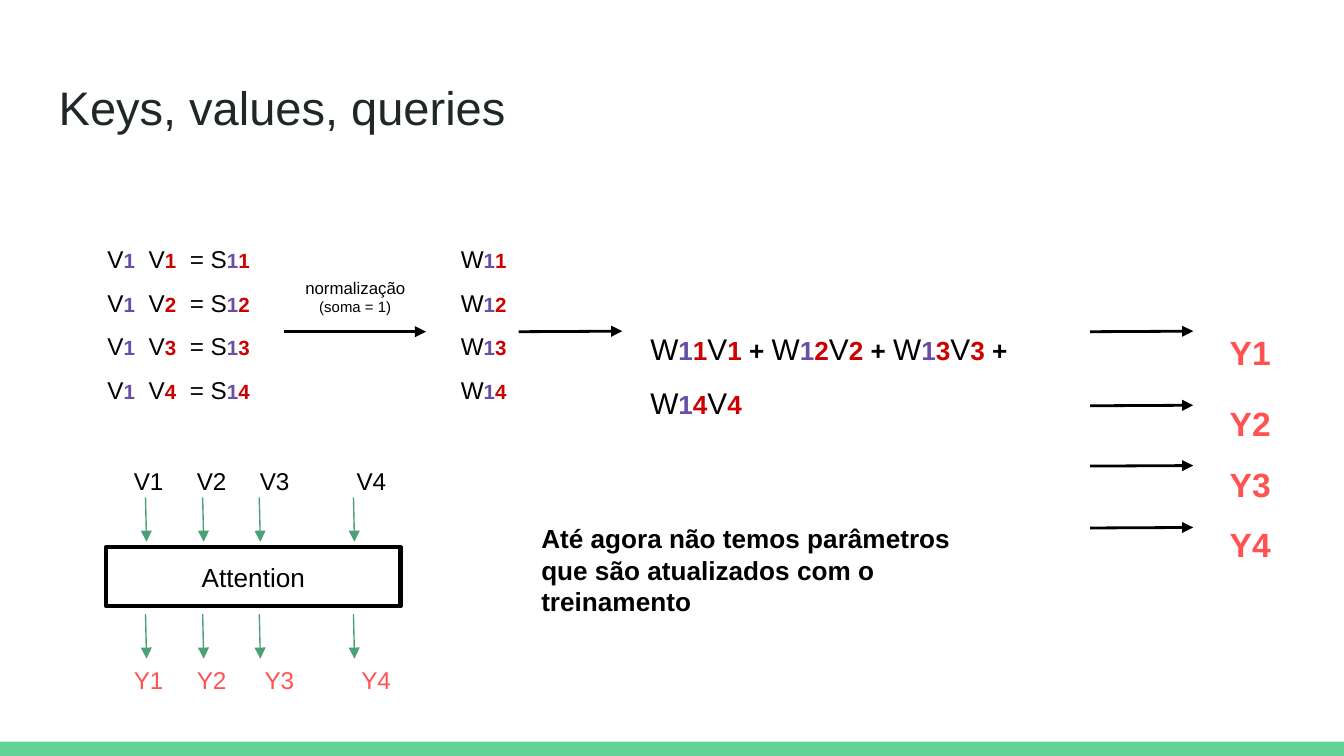
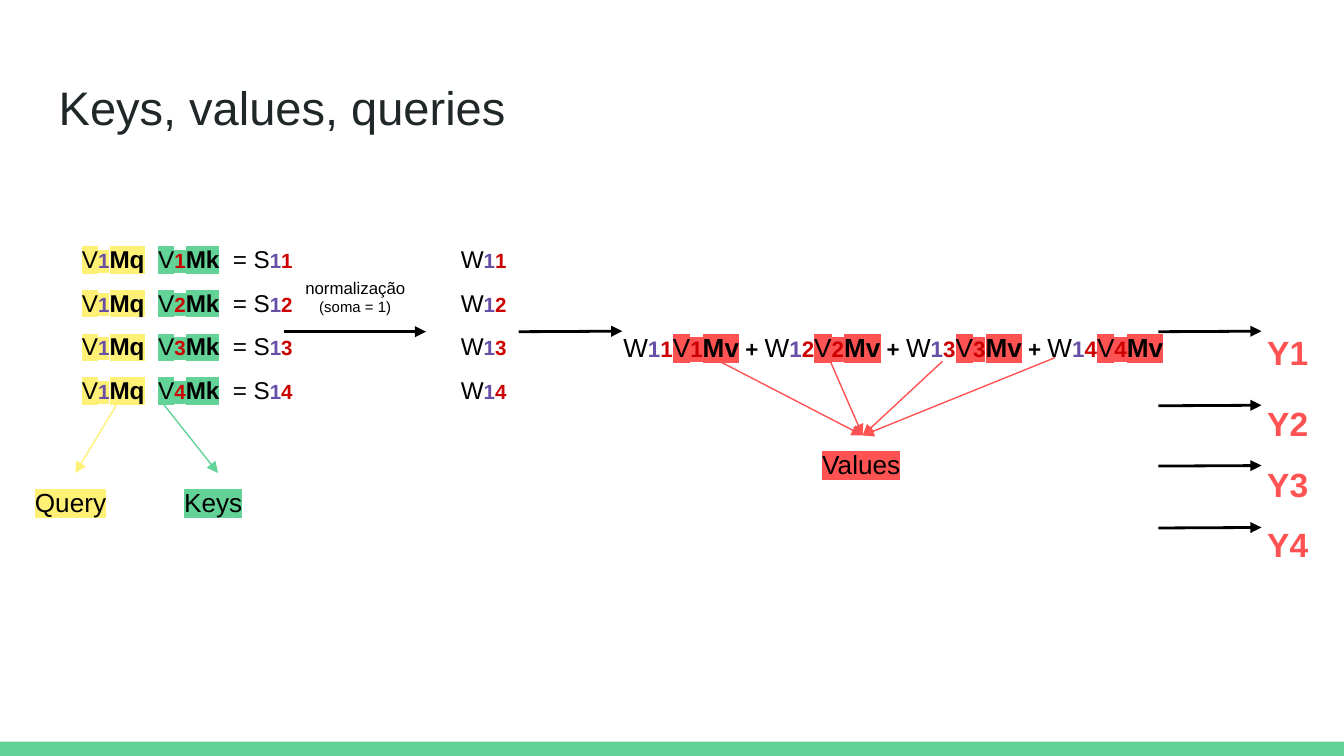
from lxml.etree import SubElement
from pptx import Presentation
from pptx.dml.color import RGBColor
from pptx.enum.shapes import MSO_CONNECTOR, MSO_SHAPE
from pptx.enum.text import MSO_ANCHOR, MSO_AUTO_SIZE, PP_ALIGN
from pptx.oxml.ns import qn
from pptx.util import Cm, Pt

FONT = "Arial"
BLACK, INK = "000000", "202729"
PURPLE, RED, CORAL = "674EA7", "CC0000", "FF5252"
GREEN, DARK_GREEN, YELLOW = "63D297", "4BA173", "FFF176"
INDICES = "1234"
FLOW_Y = 6.27
SCORES_TOP, SCORES_HEIGHT = 4.09, 3.58


def color(value):
    """Turn a hex string into a colour."""
    return RGBColor.from_string(value)


def format_run(r, size, ink=BLACK, bold=False, mark=None):
    """Give a run its font, colour and highlight."""
    r.font.size = Pt(size)
    r.font.bold = bold
    r.font.color.rgb = color(ink)
    if mark:
        highlight = SubElement(r.font.fill._xPr, qn("a:highlight"))
        SubElement(highlight, qn("a:srgbClr"), val=mark)
    r.font.name = FONT


def setup_frame(tf, anchor=MSO_ANCHOR.TOP):
    """Set wrapping, growth and insets of a text frame."""
    tf.word_wrap = True
    tf.auto_size = MSO_AUTO_SIZE.SHAPE_TO_FIT_TEXT
    tf.vertical_anchor = anchor
    tf.margin_left = tf.margin_right = Cm(0.25)
    tf.margin_top = tf.margin_bottom = Cm(0.25)


def add_text(s, box, lines, spacing=None, align=None, tabs=()):
    """Add a text box whose lines are lists of (text, *format) pieces."""
    sp = s.shapes.add_textbox(*map(Cm, box))
    tf = sp.text_frame
    setup_frame(tf)
    for i, pieces in enumerate(lines):
        p = tf.add_paragraph() if i else tf.paragraphs[0]
        p.alignment = align
        p.line_spacing = spacing
        if tabs:
            stops = SubElement(p._p.get_or_add_pPr(), qn("a:tabLst"))
            for stop in tabs:
                SubElement(stops, qn("a:tab"), pos=str(Cm(stop)), algn="l")
        for text, *style in pieces:
            r = p.add_run()
            r.text = text
            format_run(r, *style)
    return sp


def add_arrow(s, start, end, ink=BLACK, width=1.5, target=None):
    """Draw an arrow, joined to the top of a target if there is one."""
    c = s.shapes.add_connector(MSO_CONNECTOR.STRAIGHT, *map(Cm, (*start, *end)))
    if target is not None:
        c.end_connect(target, 0)
    c.line.color.rgb = color(ink)
    c.line.width = Pt(width)
    spPr = c.element.spPr
    SubElement(spPr.find(qn("a:ln")), qn("a:tailEnd"), type="triangle")
    SubElement(spPr, qn("a:effectLst"))


def indexed(letter, digits, inks, size, mark=None, matrix=""):
    """Return the pieces of a letter with coloured indices and a matrix name."""
    pieces = [(letter, size, BLACK, False, mark)]
    pieces += [(d, size - 2, ink, True, mark) for d, ink in zip(digits, inks)]
    if matrix:
        pieces.append((matrix, size, BLACK, True, mark))
    return pieces


def add_base(prs):
    """Add a slide with the shared title and bottom band."""
    s = prs.slides.add_slide(prs.slide_layouts[6])
    band = s.shapes.add_shape(MSO_SHAPE.RECTANGLE, 0, Cm(14.02), prs.slide_width, Cm(0.27))
    band.shadow.inherit = False
    band.fill.solid()
    band.fill.fore_color.rgb = color(GREEN)
    band.line.fill.background()
    add_text(s, (0.86, 1.24, 23.67, 1.6), [[("Keys, values, queries", 25.2, INK)]])
    return s


def add_scores(s, left, width, tabs, query=("", None), key=("", None)):
    """List the products of the first vector with every vector."""
    lines = []
    for j in INDICES:
        lines.append([
            *indexed("V", "1", [PURPLE], 13, query[1], query[0]),
            ("\t", 13),
            *indexed("V", j, [RED], 13, key[1], key[0]),
            ("\t= ", 13),
            *indexed("S", "1" + j, [PURPLE, RED], 13),
        ])
    add_text(s, (left, SCORES_TOP, width, SCORES_HEIGHT), lines, 1.5, tabs=tabs)


def add_weights(s, left=5.36):
    """Show the normalisation step and the weights it gives."""
    add_arrow(s, (left, FLOW_Y), (left + 2.69, FLOW_Y))
    add_text(s, (left + 0.1, 5, 2.51, 1.24),
             [[("normalização", 9)], [("(soma = 1)", 8)]], align=PP_ALIGN.CENTER)
    lines = [indexed("W", "1" + j, [PURPLE, RED], 13) for j in INDICES]
    add_text(s, (left + 3.1, SCORES_TOP, 1.5, SCORES_HEIGHT), lines, 1.5)
    add_arrow(s, (left + 4.44, FLOW_Y), (left + 6.4, FLOW_Y - 0.01))


def add_sum(s, box, size, mark=None, matrix=""):
    """Write the weighted sum of the vectors."""
    pieces = []
    for j in INDICES:
        if pieces:
            pieces.append((" + ", size - 2, BLACK, True))
        pieces += indexed("W", "1" + j, [PURPLE, RED], size)
        pieces += indexed("V", j, [RED], size, mark, matrix)
    add_text(s, box, [pieces], 1.5)


def add_outputs(s, left, arrow_left):
    """Place the outputs and the arrows that lead to them."""
    first, *rest = [[("Y" + j, 18, CORAL, True)] for j in INDICES]
    add_text(s, (left, 5.64, 1.35, 1.27), [first], 1.5)
    add_text(s, (left, 6.99, 1.35, 3.58), rest, 1.5)
    for y in (FLOW_Y, 7.67, 8.81, 9.98):
        add_arrow(s, (arrow_left, y), (arrow_left + 1.95, y - 0.01))


def add_attention(s, left, top):
    """Draw the attention block with its inputs and outputs."""
    sp = s.shapes.add_shape(MSO_SHAPE.RECTANGLE, *map(Cm, (left, top, 5.56, 1.12)))
    sp.shadow.inherit = False
    sp.fill.background()
    sp.line.color.rgb = color(BLACK)
    sp.line.width = Pt(2.25)
    tf = sp.text_frame
    setup_frame(tf, MSO_ANCHOR.MIDDLE)
    tf.text = "Attention"
    p = tf.paragraphs[0]
    p.alignment = PP_ALIGN.CENTER
    format_run(p.runs[0], 14)
    rows = (
        ("V", BLACK, -1.78, -0.94, (0.25, 1.44, 2.63, 4.46)),
        ("Y", CORAL, 1.98, 1.27, (0.25, 1.44, 2.72, 4.55)),
    )
    for letter, ink, label_dy, arrow_dy, tabs in rows:
        text = "".join("\t" + letter + j for j in INDICES)
        add_text(s, (left + 0.02, top + label_dy, 6.05, 1.07), [[(text, 13, ink)]], tabs=tabs)
        for dx in (0.74, 1.82, 2.89, 4.67):
            y = top + arrow_dy
            add_arrow(s, (left + dx, y), (left + dx + 0.02, y + 0.84), DARK_GREEN, 0.75)


def add_role(s, name, box, ink, starts):
    """Add a highlighted role name and the arrows that end on it."""
    sp = add_text(s, box, [[(name, 14, BLACK, False, ink)]])
    left, top, width, _ = box
    for start in starts:
        add_arrow(s, start, (left + width / 2, top), ink, 0.75, sp)


def build_plain_slide(prs):
    """Build the slide on attention without parameters."""
    s = add_base(prs)
    add_scores(s, 1.78, 4.04, (0.78, 1.56))
    add_weights(s)
    add_sum(s, (12.04, 5.66, 8.59, 1.19), 16)
    add_outputs(s, 22.99, 20.6)
    add_attention(s, 2.01, 10.34)
    note = "Até agora não temos parâmetros que são atualizados com o treinamento"
    add_text(s, (9.98, 9.63, 8.84, 2.31), [[(note, 14, BLACK, True)]])


def build_matrix_slide(prs):
    """Build the slide on attention with query, key and value matrices."""
    s = add_base(prs)
    add_scores(s, 1.3, 4.52, (1.44, 2.85), ("Mq", YELLOW), ("Mk", GREEN))
    add_weights(s)
    add_sum(s, (11.53, 5.72, 11.07, 1.12), 14, CORAL, "Mv")
    add_outputs(s, 23.7, 21.89)
    add_role(s, "Query", (0.41, 8.94, 2.03, 1.12), YELLOW, [(2.24, 7.59)])
    add_role(s, "Keys", (3.23, 8.94, 1.78, 1.12), GREEN, [(3.05, 7.59)])
    add_role(s, "Values", (15.29, 8.23, 2.03, 1.12), CORAL,
             [(13.56, 6.81), (15.67, 6.78), (17.81, 6.83), (19.94, 6.76)])


def main():
    """Build and save the presentation."""
    prs = Presentation()
    prs.slide_width, prs.slide_height = Cm(25.4), Cm(14.29)
    build_plain_slide(prs)
    build_matrix_slide(prs)
    prs.save("out.pptx")


if __name__ == "__main__":
    main()
